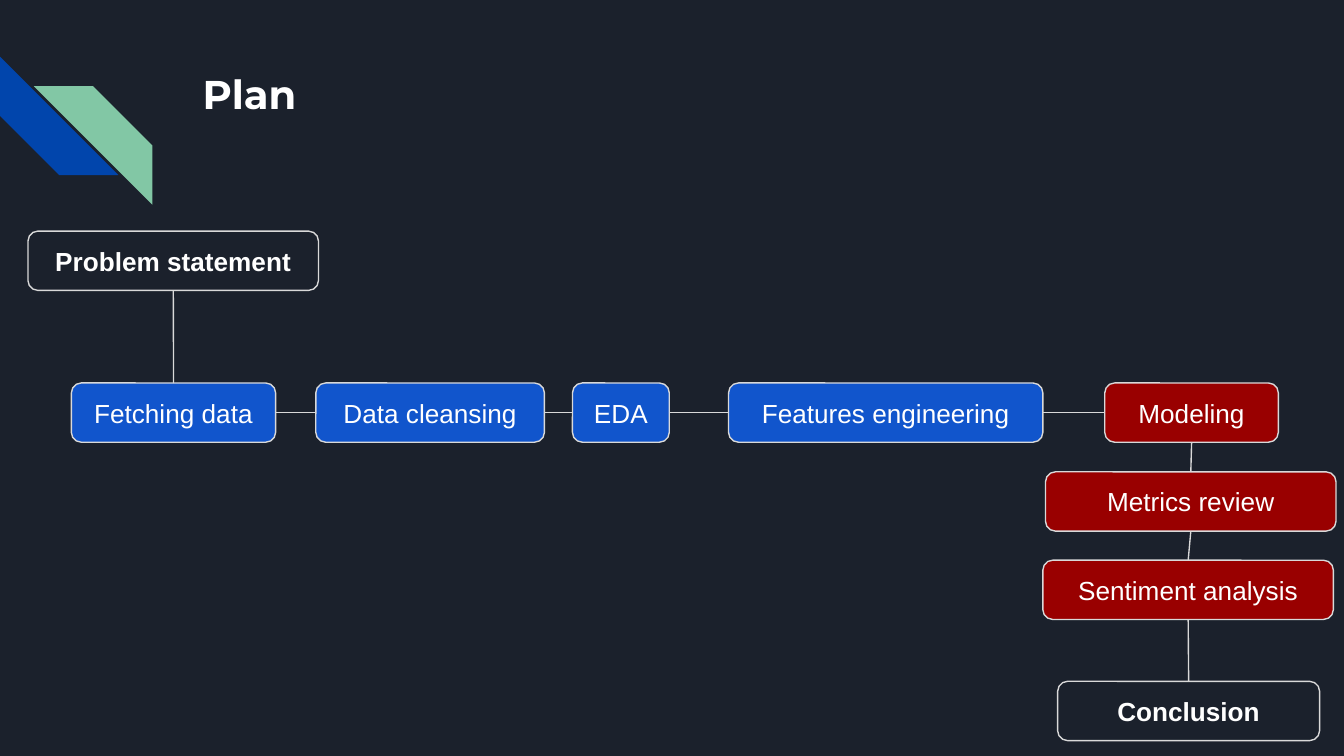
from typing import NamedTuple

from lxml import etree
from pptx import Presentation
from pptx.dml import color
from pptx.enum import shapes, text
from pptx.oxml import ns
from pptx.util import Cm, Pt

WHITE, GREY = "FFFFFF", "D9D9D9"
BLUE, RED = "1155CC", "990000"
HIGH = 1.12
ROW = 7.24
TOP, LEFT, BOTTOM, RIGHT = range(4)  # connection sites of a rounded box


class Step(NamedTuple):
    label: str
    x: float
    y: float
    wide: float
    fill: str = ""  # an unfilled step is an end point, set in bold


class Stripe(NamedTuple):
    x: float
    y: float
    turn: int
    fill: str


STEPS = [
    Step("Problem statement", 0.53, 4.37, 5.49),
    Step("Fetching data", 1.35, ROW, 3.86, BLUE),
    Step("Data cleansing", 5.97, ROW, 4.32, BLUE),
    Step("EDA", 10.82, ROW, 1.83, BLUE),
    Step("Features engineering", 13.77, ROW, 5.94, BLUE),
    Step("Modeling", 20.88, ROW, 3.28, RED),
    Step("Metrics review", 19.76, 8.92, 5.49, RED),
    Step("Sentiment analysis", 19.71, 10.59, 5.49, RED),
    Step("Conclusion", 19.99, 12.88, 4.95),
]
STRIPES = [Stripe(0, 1.07, 270, "0145AC"), Stripe(0.64, 1.63, 90, "82C7A5")]


def paint(form, code: str) -> None:
    """Give a fill or a font a solid colour."""
    if hasattr(form, "solid"):
        form.solid()
        form.fore_color.rgb = color.RGBColor.from_string(code)
    else:
        form.color.rgb = color.RGBColor.from_string(code)


def rule(line) -> None:
    paint(line.fill, GREY)
    line.width = Pt(0.75)


def write(shape, words: str, face: str, size: float, bold: bool) -> None:
    frame = shape.text_frame
    frame.text = words
    frame.word_wrap = True
    frame.margin_left = frame.margin_right = Cm(0.25)
    frame.margin_top = frame.margin_bottom = Cm(0.25)
    font = frame.paragraphs[0].runs[0].font
    font.name, font.size, font.bold = face, Pt(size), bold
    paint(font, WHITE)


def draw_stripe(slide, stripe: Stripe) -> None:
    shape = slide.shapes.add_shape(
        shapes.MSO_SHAPE.DIAGONAL_STRIPE,
        Cm(stripe.x), Cm(stripe.y), Cm(2.24), Cm(2.24))
    shape.shadow.inherit = False
    shape.rotation = stripe.turn
    paint(shape.fill, stripe.fill)
    shape.line.fill.background()


def draw_step(slide, step: Step):
    box = slide.shapes.add_shape(
        shapes.MSO_SHAPE.ROUNDED_RECTANGLE,
        Cm(step.x), Cm(step.y), Cm(step.wide), Cm(HIGH))
    box.shadow.inherit = False
    if step.fill:
        paint(box.fill, step.fill)
    else:
        box.fill.background()
    rule(box.line)
    write(box, step.label, "Arial", 14, not step.fill)
    box.text_frame.vertical_anchor = text.MSO_ANCHOR.MIDDLE
    box.text_frame.paragraphs[0].alignment = text.PP_ALIGN.CENTER
    return box


def link(slide, start, end) -> None:
    """Join two boxes, sideways within a row and downwards between rows."""
    exit, entry = (RIGHT, LEFT) if start.top == end.top else (BOTTOM, TOP)
    wire = slide.shapes.add_connector(shapes.MSO_CONNECTOR.STRAIGHT, 0, 0, 0, 0)
    wire.begin_connect(start, exit)
    wire.end_connect(end, entry)
    rule(wire.line)
    etree.SubElement(wire.element.spPr, ns.qn("a:effectLst"))


def main() -> None:
    deck = Presentation()
    deck.slide_width, deck.slide_height = Cm(25.4), Cm(14.29)
    slide = deck.slides.add_slide(deck.slide_layouts[6])
    paint(slide.background.fill, "1B212C")
    for stripe in STRIPES:
        draw_stripe(slide, stripe)
    title = slide.shapes.add_textbox(Cm(3.58), Cm(1.07), Cm(19.56), Cm(2.54))
    write(title, "Plan", "Montserrat", 21.5, True)
    boxes = [draw_step(slide, step) for step in STEPS]
    for start, end in zip(boxes, boxes[1:]):
        link(slide, start, end)
    deck.save("out.pptx")


if __name__ == "__main__":
    main()
